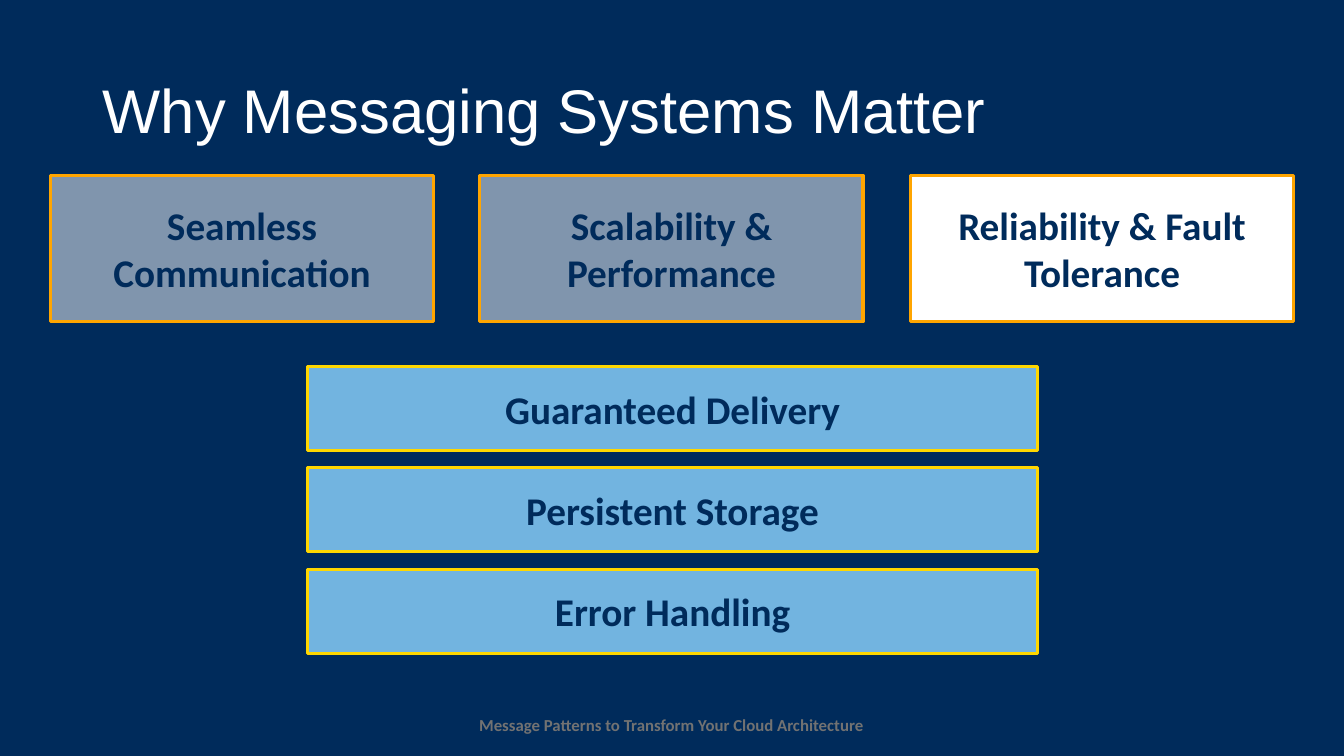
import pptx
import pptx.dml.color
import pptx.enum.shapes
import pptx.enum.text
import pptx.util
from lxml import etree
from pptx.oxml.ns import qn

PX = 9144
NAVY = "002B5B"
WHITE = "FFFFFF"
BENEFITS = [
    ("Seamless Communication", 50),
    ("Scalability & Performance", 50),
    ("Reliability & Fault Tolerance", 100),
]
SAFEGUARDS = ["Guaranteed Delivery", "Persistent Storage", "Error Handling"]


def px(*lengths):
    return [pptx.util.Emu(length * PX) for length in lengths]


def paint(color_format, color):
    color_format.rgb = pptx.dml.color.RGBColor.from_string(color)


def fill_solid(fill, color):
    fill.solid()
    paint(fill.fore_color, color)


def set_opacity(card, percent):
    color = card.fill._xPr.find(qn("a:solidFill"))[0]
    etree.SubElement(color, qn("a:alpha"), val=str(percent * 1000))


def write(frame, words, size, font, color, bold=False, centered=True, wrap=True):
    frame.word_wrap = wrap
    frame.vertical_anchor = pptx.enum.text.MSO_ANCHOR.MIDDLE
    line = frame.paragraphs[0]
    align = pptx.enum.text.PP_ALIGN
    line.alignment = align.CENTER if centered else align.LEFT
    run = line.add_run()
    run.text = words
    run.font.size = pptx.util.Pt(size)
    run.font.name = font
    run.font.bold = bold
    paint(run.font.color, color)
    return line


def add_card(slide, box, words, fill, border, opacity=100):
    card = slide.shapes.add_shape(pptx.enum.shapes.MSO_SHAPE.RECTANGLE, *px(*box))
    card.shadow.inherit = False
    fill_solid(card.fill, fill)
    if opacity < 100:
        set_opacity(card, opacity)
    paint(card.line.color, border)
    card.line.width = pptx.util.Pt(2.25)
    write(card.text_frame, words, 28, "Calibri", NAVY, bold=True)


def add_title(slide, words):
    title = slide.shapes.add_textbox(*px(92, 40, 1150, 145))
    line = write(title.text_frame, words, 44, "Arial", WHITE, centered=False)
    line.line_spacing = 0.9


def add_footer(slide, words):
    footer = slide.shapes.add_textbox(*px(463, 704, 406, 30))
    write(footer.text_frame, words, 12, "Calibri", "727272", bold=True, wrap=False)


def main():
    deck = pptx.Presentation()
    deck.slide_width, deck.slide_height = px(1333, 750)
    slide = deck.slides.add_slide(deck.slide_layouts[6])
    fill_solid(slide.background.fill, NAVY)

    add_footer(slide, "Message Patterns to Transform Your Cloud Architecture")
    add_title(slide, "Why Messaging Systems Matter")
    for column, (benefit, opacity) in enumerate(BENEFITS):
        left = 50 + column * 853 // 2
        add_card(slide, (left, 174, 380, 145), benefit, WHITE, "FFA500", opacity)
    for row, safeguard in enumerate(SAFEGUARDS):
        top = 364 + row * 201 // 2
        add_card(slide, (305, top, 724, 83), safeguard, "72B4E0", "FFD700")

    deck.save("out.pptx")


if __name__ == "__main__":
    main()
